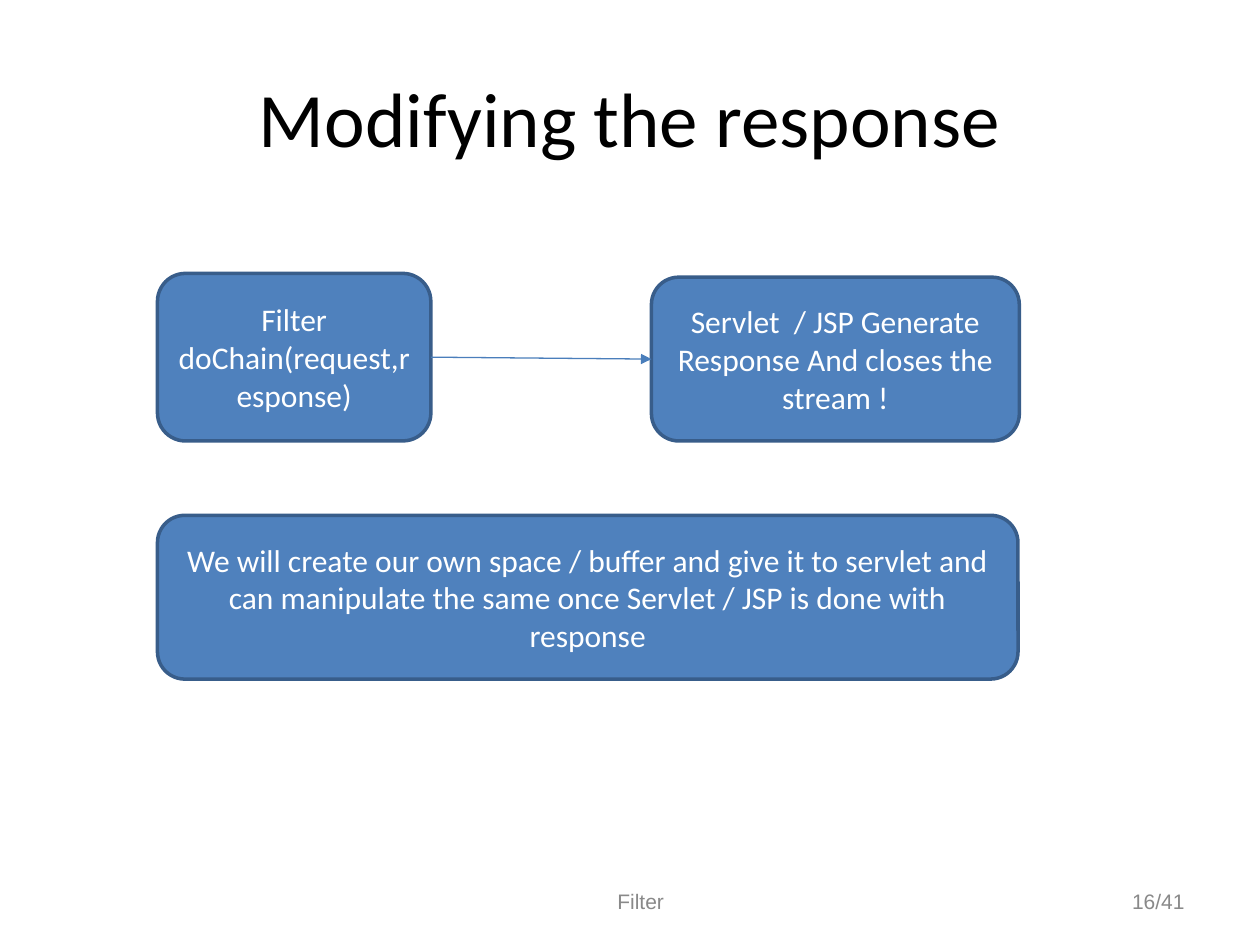
from lxml import etree
from pptx import Presentation
from pptx.dml.color import RGBColor
from pptx.enum import shapes, text
from pptx.oxml.ns import qn
from pptx.util import Inches, Pt

BLACK = RGBColor(0x00, 0x00, 0x00)
WHITE = RGBColor(0xFF, 0xFF, 0xFF)
GRAY = RGBColor(0x89, 0x89, 0x89)
BOX_FILL = RGBColor(0x4F, 0x81, 0xBD)
BOX_LINE = RGBColor(0x38, 0x5D, 0x8A)
ARROW_LINE = RGBColor(0x4A, 0x7E, 0xBB)

CENTER = text.PP_ALIGN.CENTER
RIGHT = text.PP_ALIGN.RIGHT
LEFT_SIDE, RIGHT_SIDE = 1, 3  # connection sites of a rounded rectangle


def write_text(shape, content, size, color, font="Calibri", align=CENTER):
    frame = shape.text_frame
    frame.word_wrap = True
    frame.vertical_anchor = text.MSO_ANCHOR.MIDDLE
    paragraph = frame.paragraphs[0]
    paragraph.alignment = align
    run = paragraph.add_run()
    run.text = content
    for name, value in {"name": font, "size": Pt(size)}.items():
        setattr(run.font, name, value)
    run.font.color.rgb = color


def add_label(slide, area, content, size, color, **options):
    label = slide.shapes.add_textbox(*map(Inches, area))
    write_text(label, content, size, color, **options)


def add_box(slide, area, content):
    box = slide.shapes.add_shape(
        shapes.MSO_SHAPE.ROUNDED_RECTANGLE, *map(Inches, area))
    box.adjustments[0] = 0.167
    box.shadow.inherit = False
    box.fill.solid()
    box.fill.fore_color.rgb = BOX_FILL
    box.line.color.rgb = BOX_LINE
    box.line.width = Pt(2)
    write_text(box, content, 18, WHITE)
    return box


def add_arrow(slide, source, target):
    """Join the right side of source to the left side of target."""
    arrow = slide.shapes.add_connector(
        shapes.MSO_CONNECTOR.STRAIGHT, 0, 0, 0, 0)
    arrow.begin_connect(source, RIGHT_SIDE)
    arrow.end_connect(target, LEFT_SIDE)
    arrow.line.color.rgb = ARROW_LINE
    arrow.line.width = Pt(0.75)
    etree.SubElement(arrow.line._get_or_add_ln(), qn("a:tailEnd"), type="triangle")
    etree.SubElement(arrow._element.spPr, qn("a:effectLst"))


def main():
    presentation = Presentation()
    presentation.slide_width = Inches(10)
    presentation.slide_height = Inches(7.5)
    slide = presentation.slides.add_slide(presentation.slide_layouts[6])

    add_label(slide, (3.25, 6.95, 3.67, 0.4), "Filter", 12, GRAY, font="Arial")
    add_label(slide, (7.17, 6.95, 2.33, 0.4), "16/41", 12, GRAY,
              font="Arial", align=RIGHT)
    add_label(slide, (0.5, 0.3, 9, 1.25), "Modifying the response", 44, BLACK)

    filter_box = add_box(slide, (1.25, 2.17, 2.17, 1.33),
                         "Filter doChain(request,response)")
    servlet_box = add_box(
        slide, (5.17, 2.2, 2.92, 1.3),
        "Servlet  / JSP Generate Response And closes the stream !")
    add_arrow(slide, filter_box, servlet_box)
    add_box(slide, (1.25, 4.09, 6.83, 1.3),
            "We will create our own space / buffer and give it to servlet and "
            "can manipulate the same once Servlet / JSP is done with response")

    presentation.save("out.pptx")


if __name__ == "__main__":
    main()
